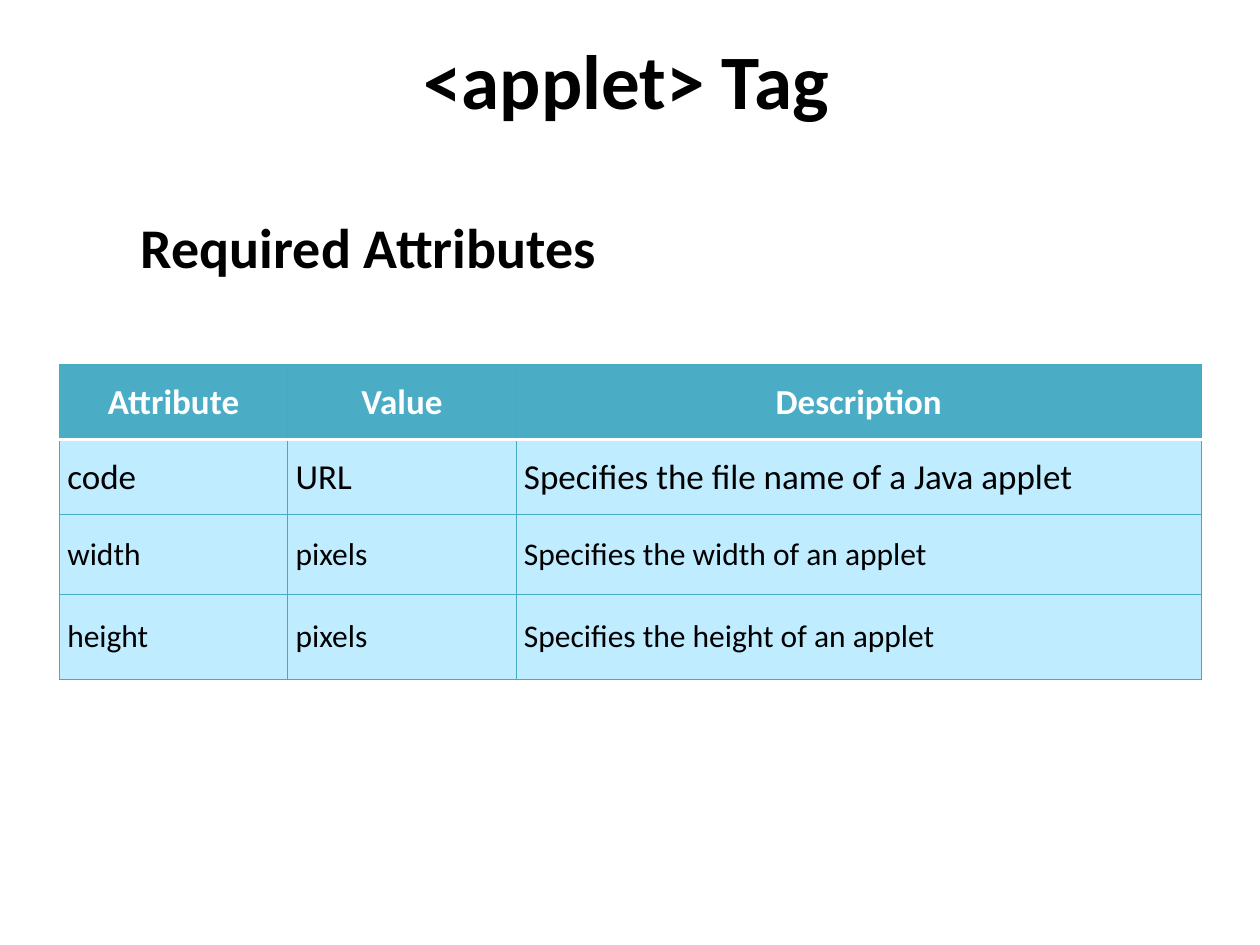
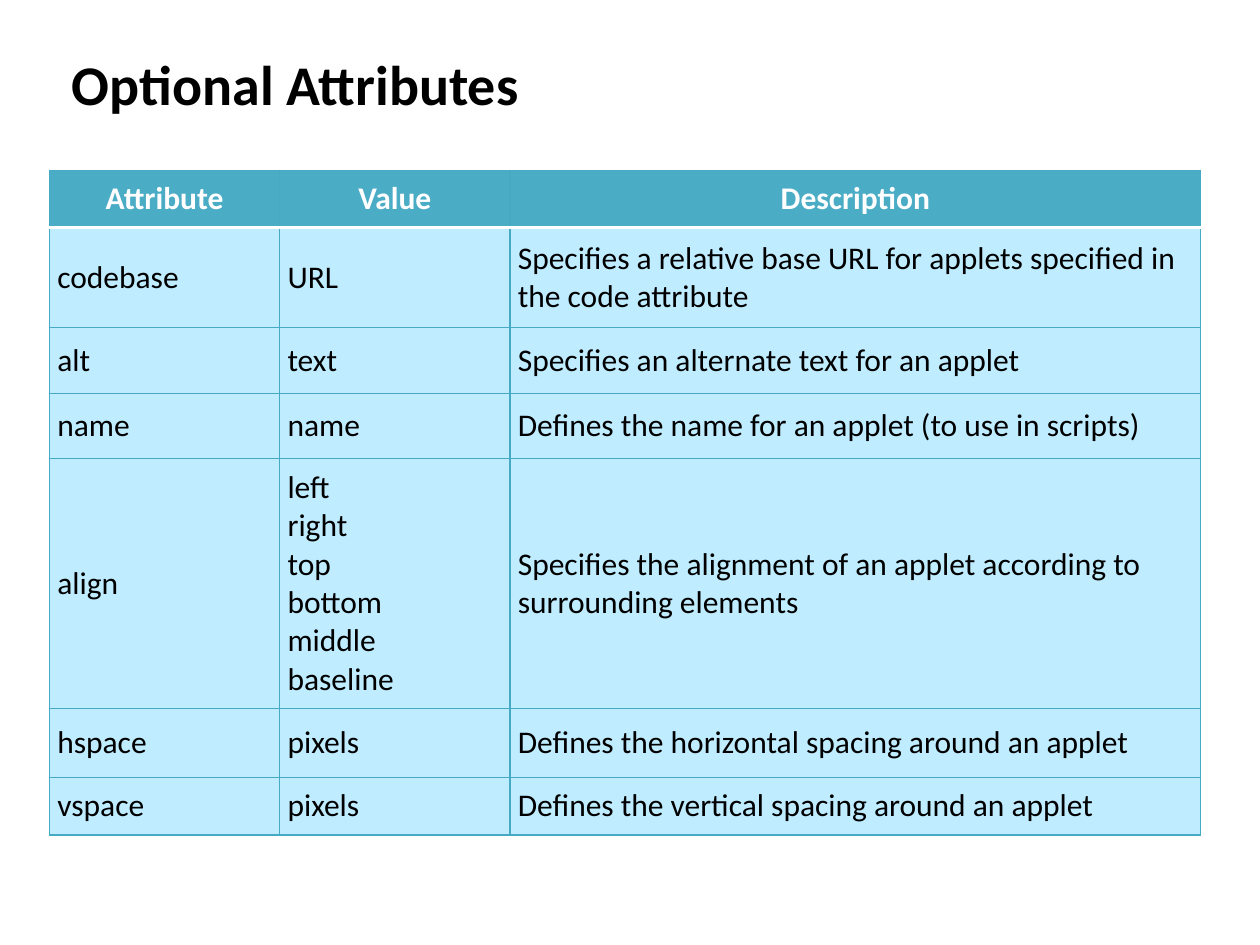
from lxml.etree import SubElement
from pptx import Presentation
from pptx.dml.color import RGBColor
from pptx.enum.text import MSO_ANCHOR as Anchor, PP_ALIGN as Align
from pptx.oxml.ns import qn
from pptx.util import Pt

FONT = "Calibri"
BLACK = RGBColor(0x00, 0x00, 0x00)
WHITE = RGBColor(0xFF, 0xFF, 0xFF)
HEADER_FILL = RGBColor(0x4B, 0xAC, 0xC6)
BODY_FILL = RGBColor(0xBF, 0xEC, 0xFF)
GRID = RGBColor(0x46, 0xAA, 0xC5)

CELL_INSET = 4.5
GRID_WIDTH, RULE_WIDTH = 0.75, 2
COLUMN_SHARES = (1, 1, 3)
HEADINGS = ("Attribute", "Value", "Description")

REQUIRED = (
    ("code", "URL", "Specifies the file name of a Java applet"),
    ("width", "pixels", "Specifies the width of an applet"),
    ("height", "pixels", "Specifies the height of an applet"),
)
OPTIONAL = (
    ("codebase", "URL",
     "Specifies a relative base URL for applets specified in the code attribute"),
    ("alt", "text", "Specifies an alternate text for an applet"),
    ("name", "name", "Defines the name for an applet (to use in scripts)"),
    ("align", "left\nright\ntop\nbottom\nmiddle\nbaseline",
     "Specifies the alignment of an applet according to surrounding elements"),
    ("hspace", "pixels", "Defines the horizontal spacing around an applet"),
    ("vspace", "pixels", "Defines the vertical spacing around an applet"),
)


def write(frame, text, size=18, color=BLACK, bold=False, align=Align.LEFT):
    """Fill a text frame with one paragraph; newlines become line breaks."""
    para = frame.paragraphs[0]
    para.text = text
    para.alignment = align
    for span in para.runs:
        font = span.font
        font.name, font.size, font.bold = FONT, Pt(size), bold
        font.color.rgb = color


def add_heading(page, box, text, anchor=Anchor.MIDDLE, **style):
    frame = page.shapes.add_textbox(*map(Pt, box)).text_frame
    frame.word_wrap = True
    frame.vertical_anchor = anchor
    write(frame, text, bold=True, **style)


def set_borders(cell, **white_sides):
    """Draw the grid round a cell, with a white rule on the sides named."""
    properties = cell._tc.get_or_add_tcPr()
    for position, side in enumerate(("L", "R", "T", "B")):
        is_rule = white_sides.get(side, False)
        width = RULE_WIDTH if is_rule else GRID_WIDTH
        line = SubElement(properties, qn(f"a:ln{side}"), w=str(Pt(width)))
        fill = SubElement(line, qn("a:solidFill"))
        SubElement(fill, qn("a:srgbClr"), val=str(WHITE if is_rule else GRID))
        properties.remove(line)
        properties.insert(position, line)


def add_attribute_table(page, box, records, row_heights, sizes):
    """Place a table at box (left, top, width); sizes gives a text size per row."""
    left, top, width = box
    rows = (HEADINGS, *records)
    table = page.shapes.add_table(
        len(rows), len(HEADINGS), Pt(left), Pt(top), Pt(width), Pt(sum(row_heights))
    ).table
    for column, share in zip(table.columns, COLUMN_SHARES):
        column.width = Pt(width * share / sum(COLUMN_SHARES))
    for row, height in zip(table.rows, row_heights):
        row.height = Pt(height)

    for row_index, (texts, size) in enumerate(zip(rows, sizes)):
        is_header = row_index == 0
        for column_index, text in enumerate(texts):
            cell = table.cell(row_index, column_index)
            cell.margin_left = cell.margin_right = Pt(CELL_INSET)
            cell.margin_top = cell.margin_bottom = Pt(CELL_INSET)
            cell.vertical_anchor = Anchor.MIDDLE
            cell.fill.solid()
            cell.fill.fore_color.rgb = HEADER_FILL if is_header else BODY_FILL
            set_borders(cell, B=is_header, T=row_index == 1)
            write(cell.text_frame, text, size=size, bold=is_header,
                  color=WHITE if is_header else BLACK,
                  align=Align.CENTER if is_header else Align.LEFT)


def build_required_page(page):
    add_heading(page, (34, 0, 648, 90), "<applet> Tag", size=44, align=Align.CENTER)
    add_attribute_table(page, (34, 208.25, 652.5), REQUIRED,
                        row_heights=(43, 43, 45.5, 48.5), sizes=(20, 20, 18, 18))
    add_heading(page, (73.5, 118, 376.5, 46), "Required Attributes",
                anchor=Anchor.TOP, size=32)


def build_optional_page(page):
    add_heading(page, (34, 16.5, 648, 62), "Optional Attributes", size=32)
    add_attribute_table(page, (28.25, 97.25, 658), OPTIONAL,
                        row_heights=(33, 57, 37.5, 37.5, 142.5, 39.5, 33),
                        sizes=[18] * (len(OPTIONAL) + 1))


def main():
    deck = Presentation()
    deck.slide_width, deck.slide_height = Pt(720), Pt(540)
    blank = deck.slide_layouts[6]
    for build_page in (build_required_page, build_optional_page):
        build_page(deck.slides.add_slide(blank))
    deck.save("out.pptx")


if __name__ == "__main__":
    main()
